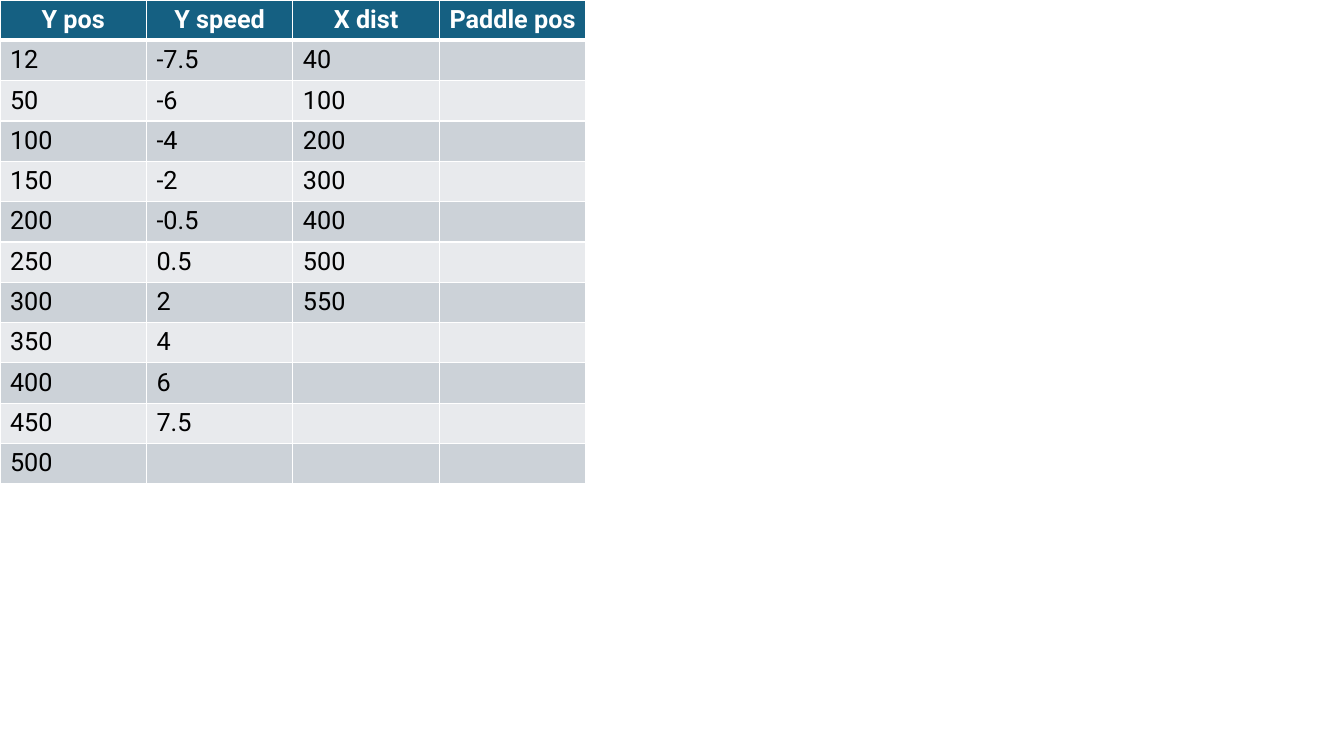
from itertools import zip_longest

from lxml.etree import SubElement
from pptx import Presentation
from pptx.dml.color import RGBColor
from pptx.enum.text import PP_ALIGN
from pptx.oxml.ns import qn
from pptx.util import Inches, Pt

WHITE = RGBColor(0xFF, 0xFF, 0xFF)
BLACK = RGBColor(0x00, 0x00, 0x00)
HEADER_BLUE = RGBColor(0x15, 0x60, 0x82)
BANDS = [RGBColor(0xE8, 0xEA, 0xED), RGBColor(0xCC, 0xD2, 0xD8)]

FONT = "Roboto"
TABLE_WIDTH, ROW_HEIGHT = Inches(5.81), Inches(0.4)

# Test values, one list per column
COLUMNS = {
    "Y pos": ["12", *(str(y) for y in range(50, 501, 50))],
    "Y speed": ["-7.5", "-6", "-4", "-2", "-0.5", "0.5", "2", "4", "6", "7.5"],
    "X dist": ["40", "100", "200", "300", "400", "500", "550"],
    "Paddle pos": [],
}


def set_borders(cell, bottom):
    """Draw white lines around a cell; bottom is the width of the lower one."""
    tcPr = cell._tc.get_or_add_tcPr()
    for side, width in (("L", 1), ("R", 1), ("T", 1), ("B", bottom)):
        ln = SubElement(tcPr, qn(f"a:ln{side}"), w=str(Pt(width)))
        fill = SubElement(ln, qn("a:solidFill"))
        SubElement(fill, qn("a:srgbClr"), val=str(WHITE))


def fill_cell(cell, text, row):
    header = row == 0
    # Borders come before the fill in the cell properties
    set_borders(cell, bottom=3 if header else 1)
    cell.fill.solid()
    cell.fill.fore_color.rgb = HEADER_BLUE if header else BANDS[row % 2]
    # A small lower margin keeps each row at its set height
    cell.margin_bottom = Inches(0.01)
    if header:
        cell.margin_left = cell.margin_right = Inches(0.08)
    p = cell.text_frame.paragraphs[0]
    p.text = text
    p.alignment = PP_ALIGN.CENTER if header else PP_ALIGN.LEFT
    for r in p.runs:
        r.font.name = FONT
        r.font.size = Pt(18)
        r.font.bold = header
        r.font.color.rgb = WHITE if header else BLACK


def add_values_table(slide, left, top, width):
    rows = [list(COLUMNS), *zip_longest(*COLUMNS.values(), fillvalue="")]
    n_rows, n_cols = len(rows), len(COLUMNS)
    table = slide.shapes.add_table(n_rows, n_cols, left, top,
                                   width, n_rows * ROW_HEIGHT).table
    for column in table.columns:
        column.width = width // n_cols
    for i, values in enumerate(rows):
        table.rows[i].height = ROW_HEIGHT
        for j, text in enumerate(values):
            fill_cell(table.cell(i, j), text, i)


def main():
    prs = Presentation()
    prs.slide_width, prs.slide_height = Inches(13.33), Inches(7.5)
    slide = prs.slides.add_slide(prs.slide_layouts[6])
    add_values_table(slide, 0, 0, TABLE_WIDTH)
    prs.save("out.pptx")


if __name__ == "__main__":
    main()
